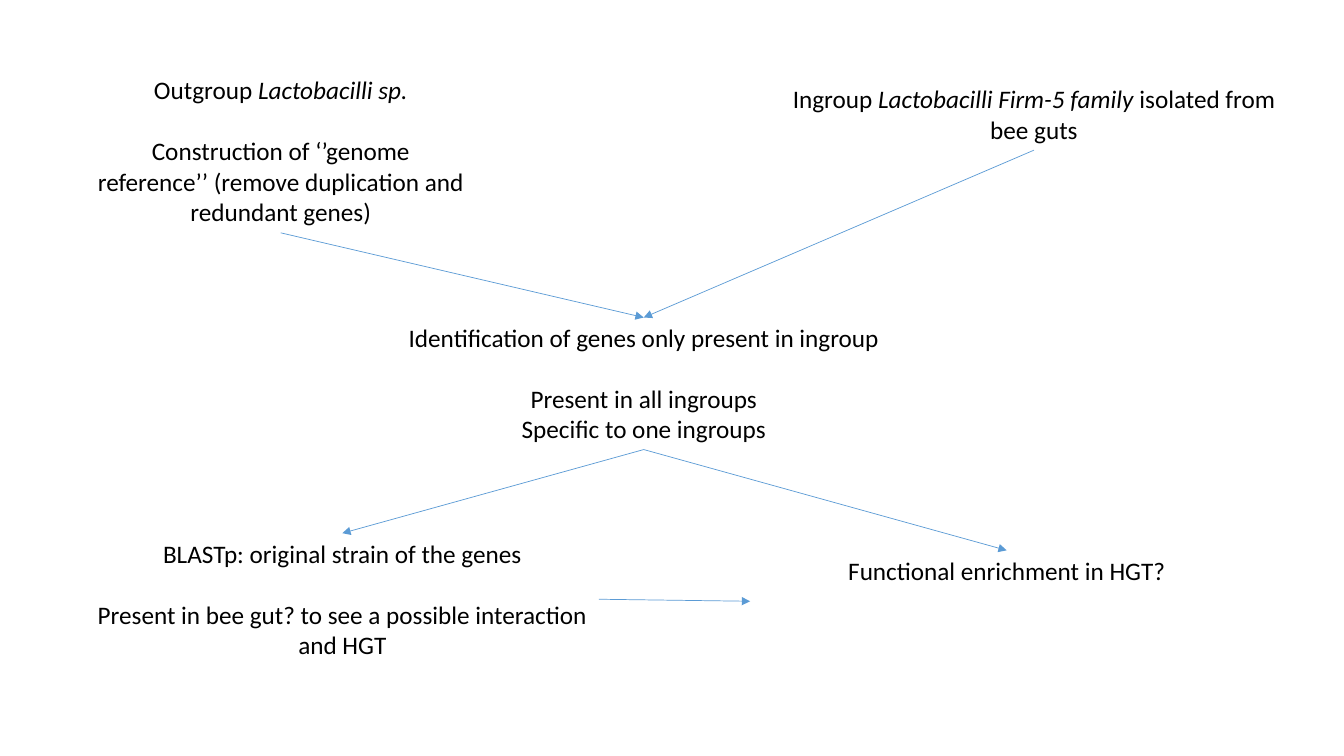
from dataclasses import dataclass

import pptx
import pptx.dml.color
import pptx.enum.shapes
import pptx.enum.text
import pptx.oxml
import pptx.oxml.ns
import pptx.util
from pptx.util import Inches


@dataclass(frozen=True)
class Theme:
    """Colours, font and sizes used on the slide."""
    font: str = "Calibri"
    text: str = "000000"
    arrow: str = "5B9BD5"
    text_size: float = 18
    gap: float = 22
    arrow_width: float = 0.5


THEME = Theme()
TOP, LEFT, BOTTOM, RIGHT = range(4)

# Each step: left, top, width, height in inches, then groups of paragraphs.
# A gap separates groups; "*" switches italics on and off.
STEPS = {
    "outgroup": ((0.85, 0.69, 3.87, 1.62), [
        ["Outgroup *Lactobacilli sp.*"],
        ["Construction of ‘’genome reference’’ "
         "(remove duplication and redundant genes)"]]),
    "ingroup": ((7.71, 0.78, 5.09, 0.71), [
        ["Ingroup *Lactobacilli Firm-5 family *isolated from bee guts"]]),
    "identification": ((3.84, 3.15, 5.09, 1.31), [
        ["Identification of genes only present in ingroup"],
        ["Present in all ingroups", "Specific to one ingroups"]]),
    "blast": ((0.85, 5.29, 5.09, 1.31), [
        ["BLASTp: original strain of the genes"],
        ["Present in bee gut? to see a possible interaction and HGT"]]),
    "enrichment": ((7.44, 5.46, 5.09, 1.01), [
        ["Functional enrichment in HGT?"]]),
}

ARROWS = [
    ("outgroup", BOTTOM, "identification", TOP),
    ("ingroup", BOTTOM, "identification", TOP),
    ("identification", BOTTOM, "blast", TOP),
    ("identification", BOTTOM, "enrichment", TOP),
    ("blast", RIGHT, "enrichment", LEFT),
]


def color(value):
    """Return an RGB colour from a hex string."""
    return pptx.dml.color.RGBColor.from_string(value)


def write_paragraph(paragraph, text):
    """Fill a centred paragraph, with starred parts in italics."""
    paragraph.alignment = pptx.enum.text.PP_ALIGN.CENTER
    for index, part in enumerate(text.split("*")):
        if part:
            run = paragraph.add_run()
            run.text = part
            run.font.name = THEME.font
            run.font.size = pptx.util.Pt(THEME.text_size)
            run.font.color.rgb = color(THEME.text)
            run.font.italic = index % 2 == 1


def add_step(slide, box, groups):
    """Add a text box holding one step of the workflow."""
    shape = slide.shapes.add_textbox(*map(Inches, box))
    text_frame = shape.text_frame
    text_frame.word_wrap = True
    for group_index, group in enumerate(groups):
        for line_index, text in enumerate(group):
            first = group_index == line_index == 0
            paragraph = text_frame.paragraphs[0] if first else text_frame.add_paragraph()
            if group_index and line_index == 0:
                paragraph.space_before = pptx.util.Pt(THEME.gap)
            write_paragraph(paragraph, text)
    return shape


def add_arrow(slide, start, start_site, end, end_site):
    """Join two steps with an arrow glued to their connection sites."""
    connector = slide.shapes.add_connector(
        pptx.enum.shapes.MSO_CONNECTOR.STRAIGHT, 0, 0, 0, 0)
    connector.begin_connect(start, start_site)
    connector.end_connect(end, end_site)
    connector.line.color.rgb = color(THEME.arrow)
    connector.line.width = pptx.util.Pt(THEME.arrow_width)
    namespace = pptx.oxml.ns.nsdecls("a")
    connector.line._get_or_add_ln().append(
        pptx.oxml.parse_xml(f'<a:tailEnd {namespace} type="triangle"/>'))
    connector._element.spPr.append(
        pptx.oxml.parse_xml(f"<a:effectLst {namespace}/>"))


presentation = pptx.Presentation()
presentation.slide_width = Inches(13.33)
presentation.slide_height = Inches(7.5)
slide = presentation.slides.add_slide(presentation.slide_layouts[6])

steps = {name: add_step(slide, box, groups)
         for name, (box, groups) in STEPS.items()}
for start, start_site, end, end_site in ARROWS:
    add_arrow(slide, steps[start], start_site, steps[end], end_site)

presentation.save("out.pptx")
